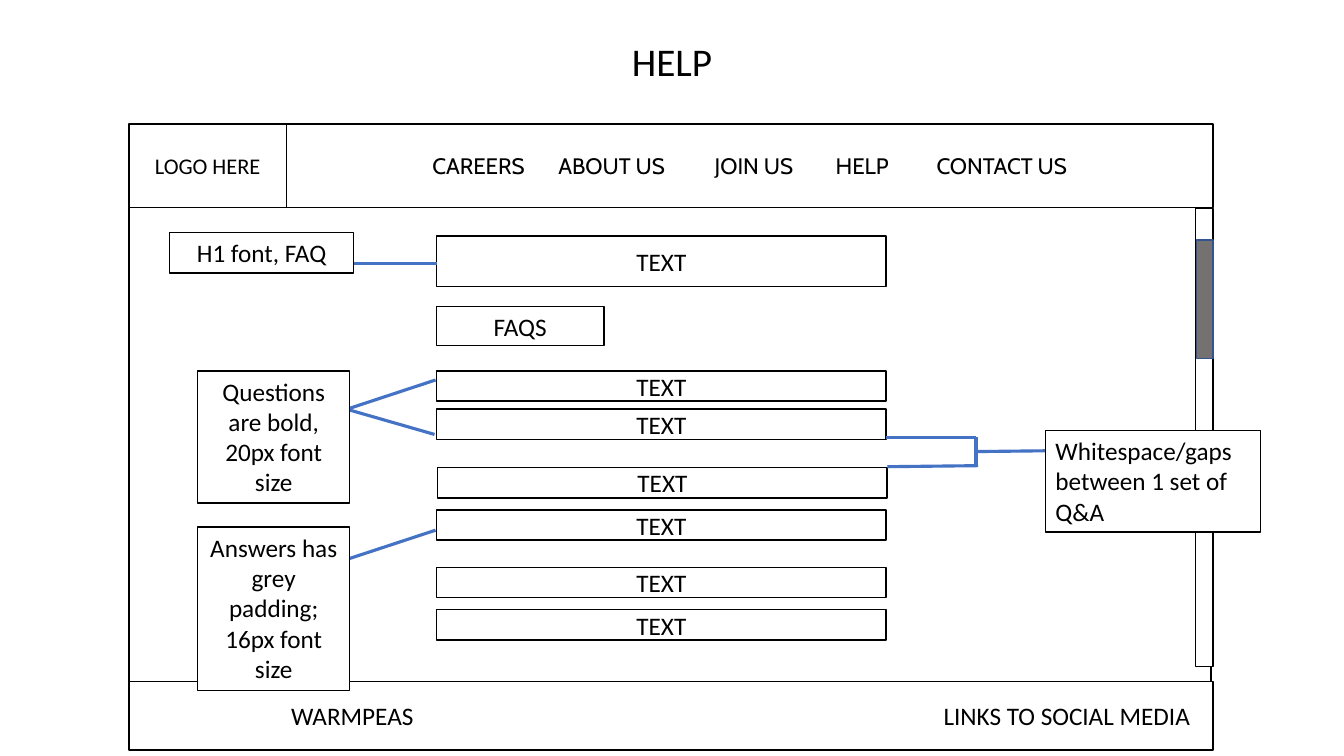
from dataclasses import dataclass
from typing import Optional

from lxml.etree import SubElement
from pptx import Presentation
from pptx.dml.color import RGBColor
from pptx.enum.shapes import MSO_CONNECTOR as Connector, MSO_SHAPE as Shape
from pptx.enum.text import MSO_ANCHOR as Anchor, MSO_AUTO_SIZE as AutoSize, PP_ALIGN as Align
from pptx.oxml.ns import qn
from pptx.util import Inches, Pt


@dataclass(frozen=True)
class Theme:
    ink: str = "000000"
    paper: str = "FFFFFF"
    thumb: str = "767171"
    thumb_edge: str = "325491"
    pointer: str = "4472C4"
    body_font: str = "Calibri"
    nav_font: str = "Cabin"
    title_size: float = 28
    body_size: float = 18
    small_size: float = 16
    outline: float = 1
    pointer_width: float = 2.25


THEME = Theme()


@dataclass(frozen=True)
class Box:
    left: float
    top: float
    width: float
    height: float
    text: str = ""
    fill: Optional[str] = None
    line: str = THEME.ink
    size: float = THEME.body_size
    font: str = THEME.body_font
    tabs: tuple[float, ...] = ()


@dataclass(frozen=True)
class Note:
    left: float
    top: float
    width: float
    height: float
    text: str
    align: Align = Align.CENTER


@dataclass(frozen=True)
class Pointer:
    x1: float
    y1: float
    x2: float
    y2: float


EDGE, NAV_LEFT, RIGHT = 1.28, 2.84, 12.03
HEADER_TOP, BODY_TOP, FOOTER_TOP = 1.23, 2.06, 6.76
HEADER_HEIGHT = BODY_TOP - HEADER_TOP
FIELD_LEFT, FIELD_WIDTH, ROW_HEIGHT = 4.33, 4.46, 0.3
QA_ROWS = [(4.33, 3.68), (4.33, 4.06), (4.34, 4.64), (4.33, 5.06), (4.33, 5.63), (4.33, 6.05)]

BOXES = [
    Box(EDGE, FOOTER_TOP, RIGHT - EDGE, 0.68, "\tWARMPEAS\tLINKS TO SOCIAL MEDIA", tabs=(1.51, 7.98)),
    Box(EDGE, BODY_TOP, 10.73, FOOTER_TOP - BODY_TOP),
    Box(11.86, 2.07, 0.17, 4.54, fill=THEME.paper),
    Box(11.87, 2.38, 0.16, 1.18, fill=THEME.thumb, line=THEME.thumb_edge),
    Box(EDGE, HEADER_TOP, NAV_LEFT - EDGE, HEADER_HEIGHT, "LOGO HERE", size=THEME.small_size),
    Box(NAV_LEFT, HEADER_TOP, RIGHT - NAV_LEFT, HEADER_HEIGHT,
        "\tCAREERS\tABOUT US\tJOIN US\tHELP\tCONTACT US",
        size=THEME.small_size, font=THEME.nav_font, tabs=(1.35, 2.6, 4.15, 5.35, 6.35)),
    Box(FIELD_LEFT, 2.34, FIELD_WIDTH, 0.5, "TEXT"),
    Box(FIELD_LEFT, 3.04, 1.66, 0.39, "FAQS"),
    *(Box(left, top, FIELD_WIDTH, ROW_HEIGHT, "TEXT") for left, top in QA_ROWS),
]

POINTERS = [
    Pointer(4.33, 2.61, 3.44, 2.61),
    Pointer(4.32, 3.77, 3.47, 4.05),
    Pointer(4.31, 4.31, 3.44, 4.06),
    Pointer(4.32, 5.26, 3.47, 5.54),
    Pointer(9.68, 4.34, 8.79, 4.34),
    Pointer(9.7, 4.62, 8.8, 4.63),
    Pointer(9.68, 4.62, 9.68, 4.34),
    Pointer(10.58, 4.47, 9.68, 4.48),
]

NOTES = [
    Note(1.68, 2.31, 1.83, 0.4, "H1 font, FAQ"),
    Note(1.96, 3.68, 1.51, 1.31, "Questions are bold, 20px font size"),
    Note(1.96, 5.23, 1.51, 1.62, "Answers has grey padding; 16px font size"),
    Note(10.37, 4.27, 2.13, 1.01, "Whitespace/gaps between 1 set of Q&A", Align.LEFT),
]


def rgb(color: str) -> RGBColor:
    return RGBColor.from_string(color)


def paint(sp, fill: Optional[str], line: Optional[str]) -> None:
    if fill:
        sp.fill.solid()
        sp.fill.fore_color.rgb = rgb(fill)
    else:
        sp.fill.background()
    if line:
        sp.line.color.rgb = rgb(line)
        sp.line.width = Pt(THEME.outline)
    else:
        sp.line.fill.background()


def write(sp, text: str, *, size: float = THEME.body_size, font: str = THEME.body_font,
          align: Align = Align.CENTER, anchor: Anchor = Anchor.MIDDLE,
          auto_size: AutoSize = AutoSize.NONE, tabs: tuple[float, ...] = ()) -> None:
    tf = sp.text_frame
    tf.word_wrap = True
    tf.auto_size = auto_size
    tf.vertical_anchor = anchor
    p = tf.paragraphs[0]
    p.alignment = Align.LEFT if tabs else align
    if tabs:
        tab_list = SubElement(p._p.get_or_add_pPr(), qn("a:tabLst"))
        for stop in tabs:
            SubElement(tab_list, qn("a:tab"), pos=str(Inches(stop)), algn="l")
    r = p.add_run()
    r.text = text
    r.font.size = Pt(size)
    r.font.name = font
    r.font.color.rgb = rgb(THEME.ink)


def draw_title(s, text: str) -> None:
    sp = s.shapes.title
    sp.left, sp.top, sp.width, sp.height = (Inches(v) for v in (0, 0.21, 13.33, 0.78))
    paint(sp, THEME.paper, None)
    write(sp, text, size=THEME.title_size)


def draw_box(s, box: Box) -> None:
    place = (Inches(v) for v in (box.left, box.top, box.width, box.height))
    sp = s.shapes.add_shape(Shape.RECTANGLE, *place)
    sp.shadow.inherit = False
    paint(sp, box.fill, box.line)
    if box.text:
        write(sp, box.text, size=box.size, font=box.font, tabs=box.tabs)


def draw_pointer(s, pointer: Pointer) -> None:
    ends = (Inches(v) for v in (pointer.x1, pointer.y1, pointer.x2, pointer.y2))
    line = s.shapes.add_connector(Connector.STRAIGHT, *ends)
    line.line.color.rgb = rgb(THEME.pointer)
    line.line.width = Pt(THEME.pointer_width)
    SubElement(line._element.spPr, qn("a:effectLst"))


def draw_note(s, note: Note) -> None:
    place = (Inches(v) for v in (note.left, note.top, note.width, note.height))
    sp = s.shapes.add_textbox(*place)
    paint(sp, THEME.paper, THEME.ink)
    write(sp, note.text, align=note.align, anchor=Anchor.TOP, auto_size=AutoSize.SHAPE_TO_FIT_TEXT)


def main() -> None:
    prs = Presentation()
    prs.slide_width, prs.slide_height = Inches(13.33), Inches(7.5)
    s = prs.slides.add_slide(prs.slide_layouts.get_by_name("Title Only"))
    draw_title(s, "HELP")
    for box in BOXES:
        draw_box(s, box)
    for pointer in POINTERS:
        draw_pointer(s, pointer)
    for note in NOTES:
        draw_note(s, note)
    prs.save("out.pptx")


if __name__ == "__main__":
    main()
